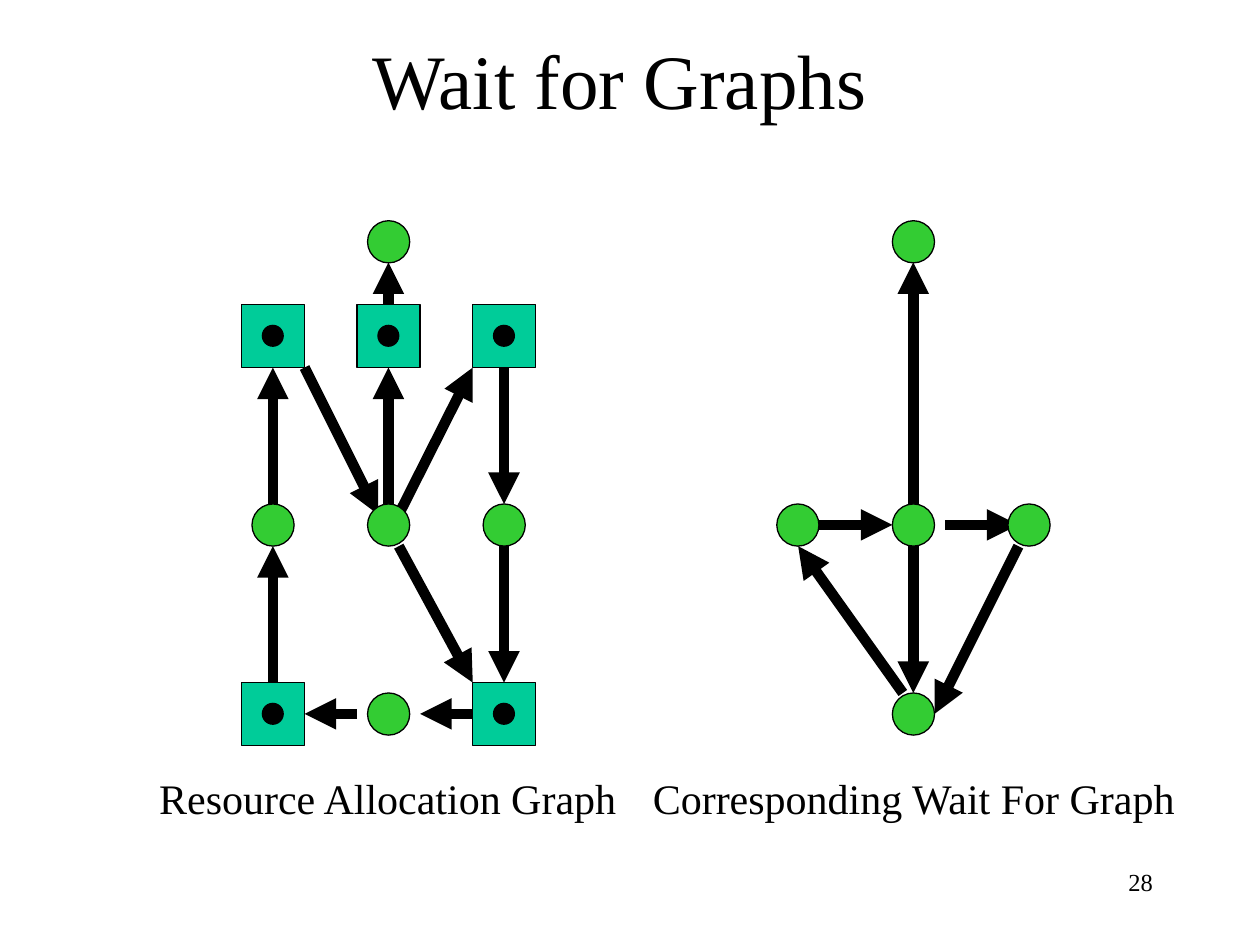
import dataclasses

import pptx
import pptx.dml.color
import pptx.enum.shapes
import pptx.enum.text
import pptx.oxml.ns
import pptx.util
from lxml import etree

SHAPES = pptx.enum.shapes.MSO_SHAPE
ALIGN = pptx.enum.text.PP_ALIGN
UNIT = pptx.util.Cm(2.54) / 12
COLUMNS = (3, 14, 25)
ROWS = (2, 11, 29, 47)
DISC, SQUARE, DOT = 4, 6, 2


@dataclasses.dataclass(frozen=True)
class Theme:
    """Colours and type sizes of the slide."""
    font: str = "Times New Roman"
    ink: str = "000000"
    process: str = "33CC33"
    resource: str = "00CC99"
    title_size: float = 44
    caption_size: float = 24
    number_size: float = 14
    outline: float = 0.75
    arrow: float = 6


THEME = Theme()

ALLOCATION_PROCESSES = [(1, 0), (0, 2), (1, 2), (2, 2), (1, 3)]
ALLOCATION_RESOURCES = [(0, 1), (1, 1), (2, 1), (0, 3), (2, 3)]
ALLOCATION_EDGES = [
    ((14, 27), (14, 14)), ((14, 8), (14, 4)), ((15, 28), (22, 14)),
    ((6, 14), (13, 28)), ((15, 31), (22, 44)), ((25, 31), (25, 44)),
    ((3, 44), (3, 31)), ((3, 27), (3, 14)), ((11, 47), (6, 47)),
    ((22, 47), (17, 47)), ((25, 14), (25, 27)),
]
WAIT_EDGES = [
    ((14, 27), (14, 4)), ((17, 29), (24, 29)), ((14, 31), (14, 45)),
    ((13, 45), (3, 31)), ((5, 29), (12, 29)), ((24, 31), (16, 47)),
]


def grid(units):
    """Return the length of a number of grid units."""
    return pptx.util.Cm(round(units * UNIT / pptx.util.Cm(1), 2))


def colour(value):
    """Return a colour from its hexadecimal value."""
    return pptx.dml.color.RGBColor.from_string(value)


def style_text(paragraph, text, size, alignment):
    """Fill a paragraph and format it."""
    paragraph.text = text
    paragraph.alignment = alignment
    paragraph.font.name = THEME.font
    paragraph.font.size = pptx.util.Pt(size)
    paragraph.font.color.rgb = colour(THEME.ink)


def add_node(slide, kind, center, size, fill):
    """Add an outlined shape around a centre point."""
    left, top = (value - size / 2 for value in center)
    shape = slide.shapes.add_shape(kind, grid(left), grid(top), grid(size), grid(size))
    shape.shadow.inherit = False
    shape.fill.solid()
    shape.fill.fore_color.rgb = colour(fill)
    shape.line.color.rgb = colour(THEME.ink)
    shape.line.width = pptx.util.Pt(THEME.outline)


def add_arrow(slide, start, end):
    """Add a thick arrow between two points."""
    connector = slide.shapes.add_connector(
        pptx.enum.shapes.MSO_CONNECTOR.STRAIGHT, *map(grid, start + end))
    connector.line.color.rgb = colour(THEME.ink)
    connector.line.width = pptx.util.Pt(THEME.arrow)
    qualified = pptx.oxml.ns.qn
    etree.SubElement(connector.line._get_or_add_ln(), qualified("a:tailEnd"), type="triangle")
    etree.SubElement(connector._element.spPr, qualified("a:effectLst"))


def add_graph(slide, left, top, processes, resources, edges):
    """Draw arrows, processes and resources relative to the box corner."""
    def place(point):
        """Move a point into the box."""
        return left + point[0], top + point[1]

    def center(cell):
        """Return the centre of a column and row."""
        return place((COLUMNS[cell[0]], ROWS[cell[1]]))

    for start, end in edges:
        add_arrow(slide, place(start), place(end))
    for cell in processes:
        add_node(slide, SHAPES.OVAL, center(cell), DISC, THEME.process)
    for cell in resources:
        add_node(slide, SHAPES.RECTANGLE, center(cell), SQUARE, THEME.resource)
        add_node(slide, SHAPES.OVAL, center(cell), DOT, THEME.ink)


def add_label(slide, box, text, size, alignment, wrap):
    """Add a one-line text box."""
    label = slide.shapes.add_textbox(*map(grid, box))
    label.text_frame.word_wrap = wrap
    style_text(label.text_frame.paragraphs[0], text, size, alignment)


def add_title(slide, box, text):
    """Move and format the title placeholder."""
    title = slide.shapes.title
    title.left, title.top, title.width, title.height = map(grid, box)
    title.text_frame.vertical_anchor = pptx.enum.text.MSO_ANCHOR.MIDDLE
    style_text(title.text_frame.paragraphs[0], text, THEME.title_size, ALIGN.CENTER)


def main():
    """Build and save the slide."""
    presentation = pptx.Presentation()
    presentation.slide_width = pptx.util.Cm(25.4)
    presentation.slide_height = pptx.util.Cm(19.05)
    slide = presentation.slides.add_slide(presentation.slide_layouts[5])
    add_title(slide, (8, 0, 102, 15), "Wait for Graphs")
    add_graph(slide, 23, 21, ALLOCATION_PROCESSES, ALLOCATION_RESOURCES, ALLOCATION_EDGES)
    add_graph(slide, 73, 21, ALLOCATION_PROCESSES, [], WAIT_EDGES)
    for left, width, text in ((14, 46, "Resource Allocation Graph"),
                              (61, 52.4, "Corresponding Wait For Graph")):
        add_label(slide, (left, 73, width, 6), text, THEME.caption_size, ALIGN.LEFT, False)
    add_label(slide, (86, 82, 25, 6), "28", THEME.number_size, ALIGN.RIGHT, True)
    presentation.save("out.pptx")


if __name__ == "__main__":
    main()
